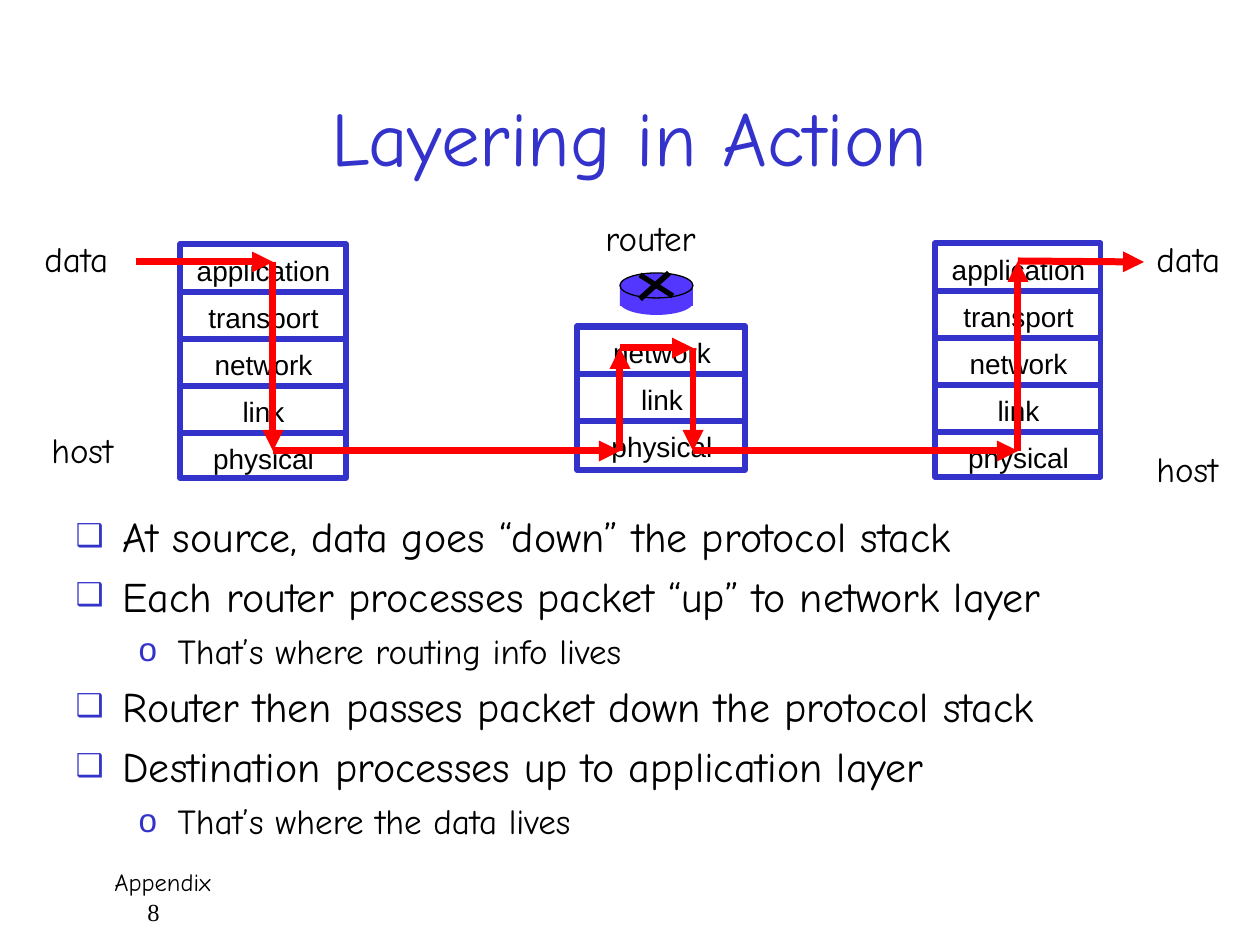
from dataclasses import dataclass
from itertools import pairwise

from lxml.etree import SubElement
from pptx import Presentation
from pptx.dml.color import RGBColor
from pptx.enum.shapes import MSO_CONNECTOR, MSO_SHAPE
from pptx.enum.text import MSO_ANCHOR, MSO_AUTO_SIZE, PP_ALIGN
from pptx.oxml.ns import qn
from pptx.util import Emu, Pt

PX = 914400 / 126
ROW = 47  # height of one protocol layer


@dataclass(frozen=True)
class Theme:
    blue: str = "3333CC"
    router: str = "5437FF"
    red: str = "FF0000"
    black: str = "000000"
    white: str = "FFFFFF"
    hand: str = "Comic Neue"
    sans: str = "Arial"
    serif: str = "Times New Roman"
    title: int = 44
    body: int = 24
    label: int = 20
    layer: int = 16
    footer: int = 14


@dataclass(frozen=True)
class Stack:
    left: int
    top: int
    width: int
    height: int
    text_width: int
    layers: tuple[str, ...]
    first_divider: int


@dataclass(frozen=True)
class Label:
    text: str
    left: int
    top: int
    width: int


@dataclass(frozen=True)
class Bullet:
    char: str
    percent: int
    margin: int
    hanging: int
    size: int
    before: int


T = Theme()
LAYERS = ("application", "transport", "network", "link", "physical")
STACKS = (
    Stack(180, 244, 166, 234, 159, LAYERS, 1),
    Stack(935, 243, 166, 234, 159, LAYERS, 1),
    Stack(577, 326, 168, 144, 126, LAYERS[2:], 0),
)
LABELS = (
    Label("data", 32, 231, 98),
    Label("data", 1144, 231, 98),
    Label("host", 39, 422, 97),
    Label("host", 1144, 441, 97),
    Label("router", 593, 210, 131),
)
DATA_PATH = (
    (136, 262), (273, 262), (273, 451), (620, 451), (620, 348),
    (693, 348), (693, 451), (1018, 451), (1018, 261), (1144, 262),
)
BULLETS = (
    Bullet("❑", 75, 47, 47, T.body, 5),
    Bullet("o", 95, 102, 39, T.label, 4),
)
POINTS = (
    (0, "At source, data goes “down” the protocol stack"),
    (0, "Each router processes packet “up” to network layer"),
    (1, "That’s where routing info lives"),
    (0, "Router then passes packet down the protocol stack"),
    (0, "Destination processes up to application layer"),
    (1, "That’s where the data lives"),
)


def px(n: int) -> Emu:
    return Emu(round(n * PX))


def rgb(color: str) -> RGBColor:
    return RGBColor.from_string(color)


def place(sp, left: int, top: int, width: int, height: int) -> None:
    sp.left, sp.top, sp.width, sp.height = map(px, (left, top, width, height))


def style(p, size: int, name: str, color: str = T.black) -> None:
    for r in p.runs:
        r.font.size, r.font.name = Pt(size), name
        r.font.color.rgb = rgb(color)


def add_text(shapes, box: tuple[int, ...], text: str, wrap: bool = False):
    tf = shapes.add_textbox(*map(px, box)).text_frame
    tf.word_wrap = wrap
    tf.text = text
    return tf


def add_shape(shapes, kind, box: tuple[int, ...], fill: str,
              line: str | None = None, weight: float = 0) -> None:
    sp = shapes.add_shape(kind, *map(px, box))
    sp.shadow.inherit = False
    sp.fill.solid()
    sp.fill.fore_color.rgb = rgb(fill)
    if line:
        sp.line.color.rgb = rgb(line)
        sp.line.width = Pt(weight)
    else:
        sp.line.fill.background()


def add_line(shapes, start: tuple[int, int], end: tuple[int, int],
             color: str, weight: float, arrow: bool = False) -> None:
    cx = shapes.add_connector(MSO_CONNECTOR.STRAIGHT, *map(px, start + end))
    cx.line.color.rgb = rgb(color)
    cx.line.width = Pt(weight)
    if arrow:
        SubElement(cx.line._get_or_add_ln(), qn("a:tailEnd"), type="triangle")
    SubElement(cx._element.spPr, qn("a:effectLst"))


def add_stack(shapes, st: Stack) -> None:
    box = (st.left, st.top, st.width, st.height)
    add_shape(shapes, MSO_SHAPE.RECTANGLE, box, T.white, T.blue, 3)
    text_left = st.left + (st.width - st.text_width) // 2 + 1
    tf = add_text(shapes, (text_left, st.top - 10, st.text_width, st.height + 14),
                  "\n".join(st.layers))
    for p in tf.paragraphs:
        p.alignment, p.line_spacing = PP_ALIGN.CENTER, 1.4
        style(p, T.layer, T.sans)
    for i in range(st.first_divider, len(st.layers)):
        y = st.top + 1 + i * ROW
        add_line(shapes, (st.left, y), (st.left + st.width, y), T.blue, 3)


def add_bullet(p, b: Bullet) -> None:
    pPr = p._p.get_or_add_pPr()
    pPr.set("marL", str(px(b.margin)))
    pPr.set("indent", str(-px(b.hanging)))
    SubElement(SubElement(pPr, qn("a:buClr")), qn("a:srgbClr"), val=T.blue)
    SubElement(pPr, qn("a:buSzPct"), val=str(b.percent * 1000))
    SubElement(pPr, qn("a:buFont"), typeface=T.sans)
    SubElement(pPr, qn("a:buChar"), char=b.char)


def add_router(shapes) -> None:
    group = shapes.add_group_shape().shapes
    add_shape(group, MSO_SHAPE.RECTANGLE, (620, 284, 73, 22), T.router)
    add_shape(group, MSO_SHAPE.OVAL, (620, 290, 73, 25), T.router)
    add_shape(group, MSO_SHAPE.OVAL, (620, 273, 73, 25), T.router, T.black, 0.75)
    add_line(group, (640, 275), (673, 296), T.black, 3)
    add_line(group, (669, 273), (640, 299), T.black, 3.25)


def main() -> None:
    prs = Presentation()
    prs.slide_width, prs.slide_height = px(1260), px(945)
    s = prs.slides.add_slide(prs.slide_layouts[1])

    # Title
    title = s.shapes.title
    place(title, 94, 73, 1071, 126)
    tf = title.text_frame
    tf.text, tf.vertical_anchor = "Layering in Action", MSO_ANCHOR.MIDDLE
    tf.paragraphs[0].alignment = PP_ALIGN.CENTER
    style(tf.paragraphs[0], T.title, T.hand, T.blue)

    # Bullet list
    body = s.placeholders[1]
    place(body, 63, 514, 1102, 336)
    tf = body.text_frame
    tf.text = "\n".join(text for _, text in POINTS)
    tf.auto_size, tf.vertical_anchor = MSO_AUTO_SIZE.NONE, MSO_ANCHOR.TOP
    for i, (p, (level, _)) in enumerate(zip(tf.paragraphs, POINTS)):
        b = BULLETS[level]
        p.level = level
        add_bullet(p, b)
        p.line_spacing, p.space_after = 0.8, Pt(6)
        p.space_before = Pt(b.before if i else 0)
        style(p, b.size, T.hand)

    # Protocol stacks, router and labels
    for st in STACKS:
        add_stack(s.shapes, st)
    add_router(s.shapes)
    for lb in LABELS:
        tf = add_text(s.shapes, (lb.left, lb.top, lb.width, 62), lb.text)
        style(tf.paragraphs[0], T.label, T.hand)

    # Route of the data
    for start, end in pairwise(DATA_PATH):
        add_line(s.shapes, start, end, T.red, 4, arrow=True)

    # Footer
    tf = add_text(s.shapes, (94, 861, 1081, 63), "Appendix\n8", wrap=True)
    for p, name, margin in zip(tf.paragraphs, (T.hand, T.serif), (8, 41)):
        p._p.get_or_add_pPr().set("marL", str(px(margin)))
        style(p, T.footer, name)

    prs.save("out.pptx")


if __name__ == "__main__":
    main()
